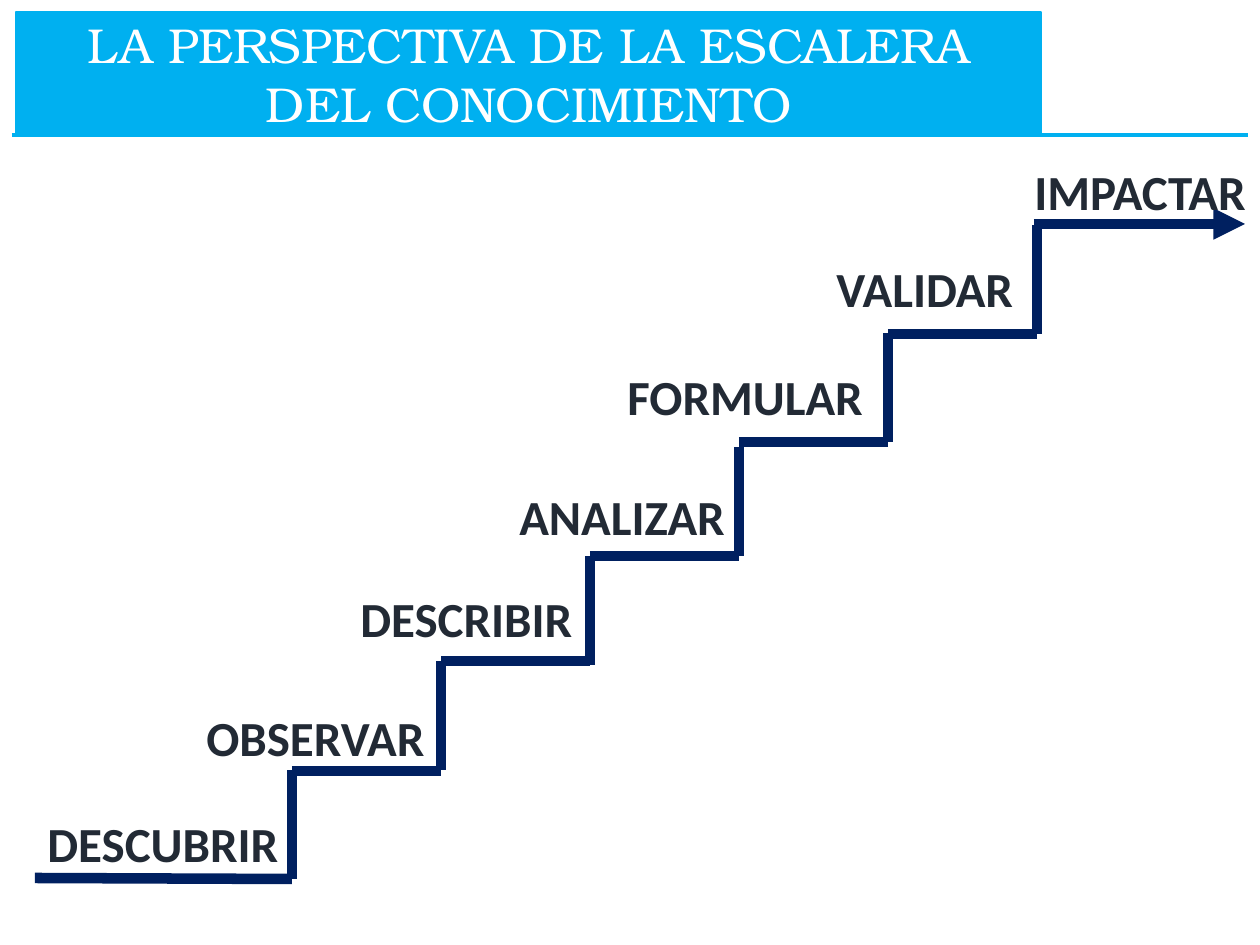
from dataclasses import dataclass
from typing import NamedTuple

from pptx import Presentation
from pptx.dml.color import RGBColor as Rgb
from pptx.enum.shapes import MSO_CONNECTOR as Conn
from pptx.enum.text import MSO_ANCHOR as Anchor, MSO_AUTO_SIZE as Fit, PP_ALIGN as Align
from pptx.oxml.ns import qn
from pptx.util import Emu, Pt
from lxml.etree import SubElement as Sub

SCALE = 914400 / 126


@dataclass(frozen=True)
class Theme:
    sky: Rgb = Rgb(0x00, 0xB0, 0xF0)
    navy: Rgb = Rgb(0x00, 0x20, 0x60)
    ink: Rgb = Rgb(0x22, 0x2A, 0x35)
    white: Rgb = Rgb(0xFF, 0xFF, 0xFF)
    size: Pt = Pt(28)
    head: str = "TeX Gyre Bonum"
    body: str = "Calibri"
    rule: Pt = Pt(2.25)
    edge: Pt = Pt(1)
    stair: Pt = Pt(6)


class Step(NamedTuple):
    text: str
    left: int
    top: int
    tread: int
    foot: int


THEME = Theme()
START, FIRST, PITCH, RISE, TIP = 35, 292, 149, 109, 1245
STEPS = [
    Step("DESCUBRIR", 35, 807, 878, 879),
    Step("OBSERVAR", 194, 701, 771, 770),
    Step("DESCRIBIR", 348, 582, 661, 665),
    Step("ANALIZAR", 507, 480, 556, 556),
    Step("FORMULAR", 615, 360, 442, 442),
    Step("VALIDAR", 824, 252, 334, 334),
]
LAST = Step("IMPACTAR", 1022, 155, 224, 224)


def px(num: int) -> Emu:
    return Emu(round(num * SCALE))


def style(item, **vals) -> None:
    for key, val in vals.items():
        setattr(item, key, val)


def line(slide, x1: int, y1: int, x2: int, y2: int, color: Rgb, width: Pt,
         arrow: bool = False) -> None:
    conn = slide.shapes.add_connector(Conn.STRAIGHT, px(x1), px(y1), px(x2), px(y2))
    conn.line.color.rgb = color
    conn.line.width = width
    if arrow:
        Sub(conn.line._get_or_add_ln(), qn("a:tailEnd"), type="triangle")
    Sub(conn._element.spPr, qn("a:effectLst"))


def label(slide, step: Step) -> None:
    box = slide.shapes.add_textbox(px(step.left), px(step.top), px(302), px(72))
    frame = box.text_frame
    style(frame, word_wrap=True, auto_size=Fit.SHAPE_TO_FIT_TEXT)
    run = frame.paragraphs[0].add_run()
    run.text = step.text
    style(run.font, name=THEME.body, size=THEME.size, bold=True)
    run.font.color.rgb = THEME.ink


def title(slide, text: str) -> None:
    box = slide.shapes.title
    style(box, left=px(16), top=px(12), width=px(1025), height=px(123))
    box.fill.solid()
    box.fill.fore_color.rgb = THEME.sky
    box.line.color.rgb = THEME.sky
    box.line.width = THEME.edge
    frame = box.text_frame
    style(frame, word_wrap=True, auto_size=Fit.NONE, vertical_anchor=Anchor.MIDDLE)
    para = frame.paragraphs[0]
    para.alignment = Align.CENTER
    run = para.add_run()
    run.text = text
    style(run.font, name=THEME.head, size=THEME.size)
    run.font.color.rgb = THEME.white


def stairs(slide) -> None:
    pen = THEME.navy, THEME.stair
    for rank, step in enumerate(STEPS):
        edge = FIRST + rank * PITCH
        left = edge - PITCH if rank else START
        end = step.tread if rank else step.foot
        line(slide, left, step.tread, edge, end, *pen)
        line(slide, edge, step.foot, edge, step.foot - RISE, *pen)
    line(slide, edge - 3, LAST.tread, TIP, LAST.tread, *pen, arrow=True)


def main() -> None:
    deck = Presentation()
    style(deck, slide_width=px(1260), slide_height=px(945))
    slide = deck.slides.add_slide(deck.slide_layouts[5])
    title(slide, "LA PERSPECTIVA DE LA ESCALERA DEL CONOCIMIENTO")
    line(slide, 12, 135, 1248, 135, THEME.sky, THEME.rule)
    stairs(slide)
    for step in [*STEPS, LAST]:
        label(slide, step)
    deck.save("out.pptx")


if __name__ == "__main__":
    main()
